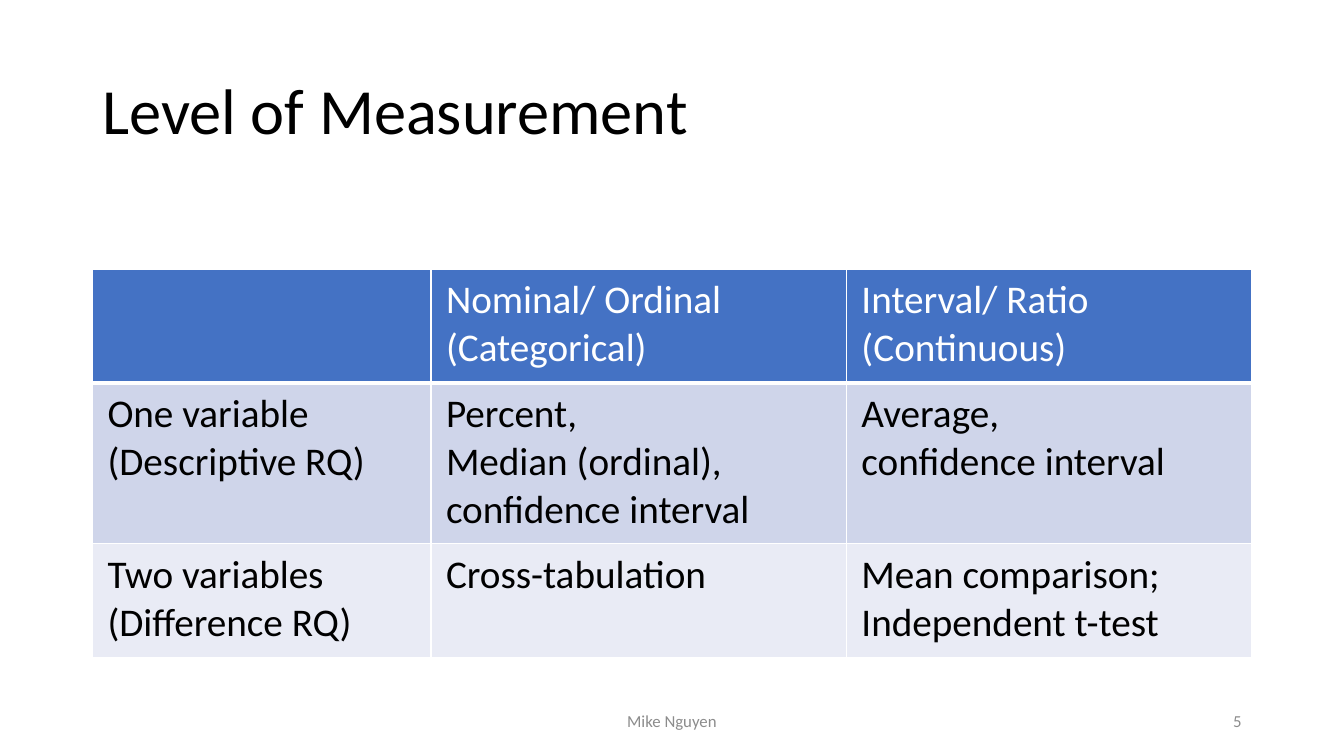
from lxml.etree import SubElement as Sub
from pptx import Presentation
from pptx.dml.color import RGBColor
from pptx.enum.text import MSO_ANCHOR as Anchor, PP_ALIGN as Align
from pptx.oxml.ns import qn
from pptx.util import Cm, Pt

BLACK = RGBColor(0x00, 0x00, 0x00)
WHITE = RGBColor(0xFF, 0xFF, 0xFF)
GREY = RGBColor(0x8C, 0x8C, 0x8C)
BLUE = RGBColor(0x44, 0x72, 0xC4)
MID = RGBColor(0xCF, 0xD5, 0xEA)
PALE = RGBColor(0xE9, 0xEB, 0xF5)
COLS = (8.53, 10.47, 10.21)
ROWS = (
    (2.87, BLUE, WHITE, 3,
     ("", "Nominal/ Ordinal (Categorical)", "Interval/ Ratio (Continuous)")),
    (4.04, MID, BLACK, 1,
     ("One variable\n(Descriptive RQ)",
      "Percent,\nMedian (ordinal),\nconfidence interval",
      "Average,\nconfidence interval")),
    (2.87, PALE, BLACK, 1,
     ("Two variables\n(Difference RQ)", "Cross-tabulation",
      "Mean comparison; Independent t-test")),
)


def style(frame, size, color, align=Align.LEFT):
    """Format every run of a text frame."""
    for para in frame.paragraphs:
        para.alignment = align
        for run in para.runs:
            run.font.name = "Calibri"
            run.font.size = Pt(size)
            run.font.bold = False
            run.font.color.rgb = color


def edge(cell, side, width):
    """Draw one white border of a cell."""
    line = Sub(cell._tc.get_or_add_tcPr(), qn(f"a:ln{side}"), w=str(Pt(width)))
    fill = Sub(line, qn("a:solidFill"))
    Sub(fill, qn("a:srgbClr"), val=str(WHITE))


def head(slide, left, top, width, height):
    """Place the slide title."""
    title = slide.shapes.title
    title.left, title.top, title.width, title.height = left, top, width, height
    frame = title.text_frame
    frame.text = "Level of Measurement"
    frame.vertical_anchor = Anchor.MIDDLE
    frame.paragraphs[0].line_spacing = 0.9
    style(frame, 46, BLACK)


def grid(slide, left, top, width, height):
    """Place the table of methods by level."""
    table = slide.shapes.add_table(
        len(ROWS), len(COLS), left, top, width, height).table
    table.first_row = table.horz_banding = False
    for col, size in zip(table.columns, COLS):
        col.width = Cm(size)
    above = 1
    for row, (size, back, ink, below, texts) in zip(table.rows, ROWS):
        row.height = Cm(size)
        for cell, text in zip(row.cells, texts):
            cell.margin_left = cell.margin_right = Cm(0.38)
            cell.margin_top = cell.margin_bottom = Cm(0.19)
            for side, line in zip("LRTB", (1, 1, above, below)):
                edge(cell, side, line)
            cell.fill.solid()
            cell.fill.fore_color.rgb = back
            cell.text_frame.text = text
            style(cell.text_frame, 28, ink)
        above = below


def note(slide, text, align, left, top, width, height):
    """Place one grey footer text."""
    frame = slide.shapes.add_textbox(left, top, width, height).text_frame
    frame.word_wrap = True
    frame.vertical_anchor = Anchor.MIDDLE
    frame.text = text
    style(frame, 12, GREY, align)


def foot(slide, left, top, width, height):
    """Place the author and the page number."""
    name, page = Cm(11.43), Cm(7.62)
    note(slide, "Mike Nguyen", Align.CENTER,
         left + (width - name) // 2, top, name, height)
    note(slide, "5", Align.RIGHT, left + width - page, top, page, height)


def main():
    """Build and save the slide."""
    deck = Presentation()
    deck.slide_width, deck.slide_height = Cm(33.87), Cm(19.05)
    slide = deck.slides.add_slide(deck.slide_layouts[5])
    left, width = Cm(2.33), Cm(29.21)
    head(slide, left, Cm(1.02), width, Cm(3.68))
    grid(slide, left, Cm(6.78), width, Cm(9.78))
    foot(slide, left, Cm(17.65), width, Cm(1.02))
    deck.save("out.pptx")


if __name__ == "__main__":
    main()
